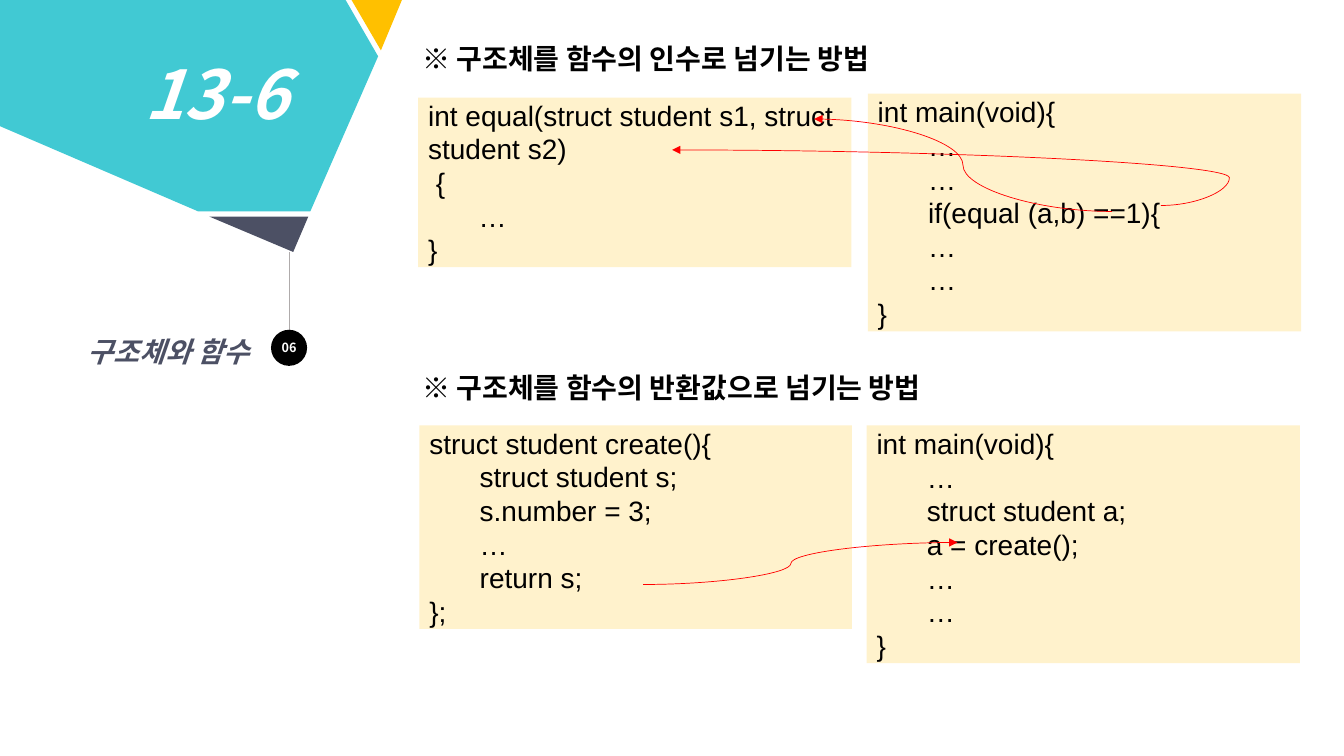
from lxml import etree
from pptx import Presentation
from pptx.dml.color import RGBColor
from pptx.enum.shapes import MSO_CONNECTOR as CONN, MSO_SHAPE as SHAPE
from pptx.enum.text import MSO_ANCHOR as ANCHOR, MSO_AUTO_SIZE as FIT, PP_ALIGN as ALIGN
from pptx.oxml.ns import qn
from pptx.util import Cm, Pt

COLORS = {"teal": "41C9D3", "gold": "FFC000", "slate": "4C5064", "cream": "FFF2CC",
          "gray": "AFABAB", "red": "FF0000", "black": "000000", "white": "FFFFFF"}
KOREAN, CODE = "Noto Sans CJK KR", "Arial"


class Deck:
    """Holds the slide and draws each kind of element in its style."""

    def __init__(self, prs):
        self.s = prs.slides.add_slide(prs.slide_layouts[6])

    def color(self, name):
        return RGBColor.from_string(COLORS[name])

    def paint(self, sp, fill):
        sp.shadow.inherit = False
        sp.fill.solid()
        sp.fill.fore_color.rgb = self.color(fill)
        sp.line.fill.background()

    def add_lines(self, tf, lines, size, color="black", font=KOREAN, bold=True,
                  italic=False, align=ALIGN.LEFT):
        for i, line in enumerate(lines):
            p = tf.paragraphs[0] if i == 0 else tf.add_paragraph()
            p.alignment = align
            r = p.add_run()
            r.text = line
            f = r.font
            f.name, f.size, f.bold, f.italic = font, Pt(size), bold, italic
            f.color.rgb = self.color(color)
            etree.SubElement(r._r.get_or_add_rPr(), qn("a:ea"), typeface=font)

    def shape(self, kind, box, fill, lines, size, side=0, **style):
        sp = self.s.shapes.add_shape(kind, *map(Cm, box))
        self.paint(sp, fill)
        tf = sp.text_frame
        tf.word_wrap, tf.vertical_anchor = True, ANCHOR.MIDDLE
        tf.margin_left = tf.margin_right = Cm(side)
        tf.margin_top = tf.margin_bottom = 0
        self.add_lines(tf, lines, size, **style)

    def code(self, box, lines):
        self.shape(SHAPE.RECTANGLE, box, "cream", lines, 20, side=0.25, font=CODE, bold=False)

    def text(self, box, text, size=20, wrap=True, **style):
        tf = self.s.shapes.add_textbox(*map(Cm, box)).text_frame
        tf.word_wrap, tf.auto_size = wrap, FIT.SHAPE_TO_FIT_TEXT
        self.add_lines(tf, [text], size, **style)

    def polygon(self, points, fill):
        start, *rest = [(Cm(x), Cm(y)) for x, y in points]
        fb = self.s.shapes.build_freeform(*start, scale=1.0)
        fb.add_line_segments(rest, close=True)
        self.paint(fb.convert_to_shape(), fill)

    def line(self, start, end, color, kind=CONN.STRAIGHT):
        c = self.s.shapes.add_connector(kind, *map(Cm, start + end))
        c.line.color.rgb, c.line.width = self.color(color), Pt(0.5)
        etree.SubElement(c._element.spPr, qn("a:effectLst"))
        return c

    def curve(self, start, end, bend):
        spPr = self.line(start, end, "red", CONN.CURVE)._element.spPr
        etree.SubElement(spPr.find(qn("a:ln")), qn("a:tailEnd"), type="triangle")
        av = spPr.find(qn("a:prstGeom")).find(qn("a:avLst"))
        etree.SubElement(av, qn("a:gd"), name="adj1", fmla=f"val {round(bend * 100000)}")


prs = Presentation()
prs.slide_width, prs.slide_height = Cm(33.87), Cm(19.05)
d = Deck(prs)

d.code((10.57, 10.72, 10.9, 5.13),
       ["struct student create(){", "\tstruct student s;", "\ts.number = 3;", "\t…",
        "\treturn s;", "};"])
d.line((7.29, 6.35), (7.29, 9.22), "gray")
d.polygon([(8.86, 0), (10.19, 0), (10.13, 0), (9.6, 1.27)], "gold")
d.polygon([(0, 0), (8.71, 0), (9.53, 1.42), (7.82, 5.33), (5, 5.33), (0, 3.18)], "teal")
d.polygon([(5.28, 5.46), (7.77, 5.46), (7.39, 6.35)], "slate")
d.shape(SHAPE.OVAL, (6.83, 8.31, 0.91, 0.91), "black", ["06"], 9, color="white",
        align=ALIGN.CENTER)
d.text((0.41, 8.31, 6.12, 1.12), "구조체와 함수", color="slate", italic=True,
       align=ALIGN.RIGHT)
d.text((3.38, 1.19, 4.19, 2.31), "13-6", 48, wrap=False, color="white", italic=True)
d.code((10.54, 2.46, 10.92, 4.27),
       ["int equal(struct student s1, struct student s2)", " {", "\t…", "}"])
d.text((10.39, 0.91, 16.92, 1.12), "※ 구조체를 함수의 인수로 넘기는 방법")
d.text((10.39, 9.22, 14.45, 1.12), "※ 구조체를 함수의 반환값으로 넘기는 방법", wrap=False)
d.code((21.87, 2.36, 10.92, 5.99),
       ["int main(void){", "\t…", "\t…", "\tif(equal (a,b) ==1){", "\t…", "\t…", "}"])
d.curve((28.02, 5.33), (20.52, 3), 0.5)
d.curve((29.26, 5.18), (16.94, 3.78), -0.14)
d.code((21.84, 10.72, 10.92, 5.99),
       ["int main(void){", "\t…", "\tstruct student a;", "\ta = create();", "\t…", "\t…", "}"])
d.curve((16.21, 14.73), (24.13, 13.67), 0.47)

prs.save("out.pptx")
